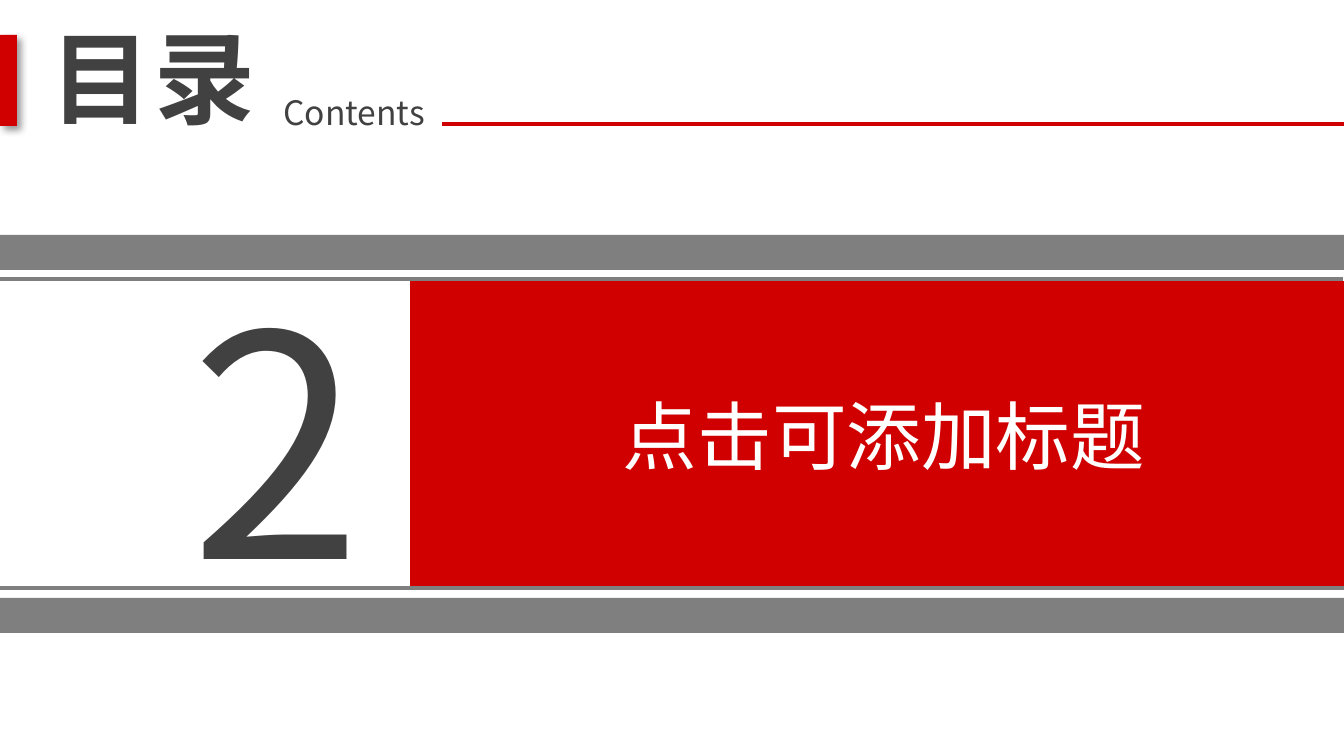
from dataclasses import dataclass

from lxml.etree import SubElement
from pptx import Presentation
from pptx.dml.color import RGBColor
from pptx.enum.shapes import MSO_CONNECTOR, MSO_SHAPE
from pptx.enum.text import MSO_AUTO_SIZE, PP_ALIGN
from pptx.oxml.ns import qn
from pptx.util import Emu, Pt

EMU_PER_PX = 914400 / 134.4
FONT = "Noto Sans CJK SC"
COLORS = {
    "red": "D00000",
    "gray": "7F7F7F",
    "ink": "414141",
    "white": "FFFFFF",
    "black": "000000",
}


@dataclass(frozen=True)
class Block:
    x: int
    y: int
    w: int
    h: int
    color: str
    shadow: bool = False


@dataclass(frozen=True)
class Rule:
    x1: int
    x2: int
    y: int
    color: str


BANDS_AND_PANEL = [
    Block(0, 598, 1344, 35, "gray"),
    Block(-1, 235, 1345, 35, "gray"),
    Block(410, 281, 934, 308, "red"),
]
TITLE_MARK = Block(0, 35, 17, 91, "red", shadow=True)
PANEL_RULES = [Rule(1343, -1, 279, "gray"), Rule(1344, 0, 588, "gray")]
TITLE_RULE = Rule(1344, 442, 124, "red")


def px(n: int) -> Emu:
    return Emu(round(n * EMU_PER_PX))


def rgb(name: str) -> RGBColor:
    return RGBColor.from_string(COLORS[name])


def add_block(slide, block: Block) -> None:
    s = slide.shapes.add_shape(
        MSO_SHAPE.RECTANGLE, px(block.x), px(block.y), px(block.w), px(block.h)
    )
    s.fill.solid()
    s.fill.fore_color.rgb = rgb(block.color)
    s.line.fill.background()
    s.shadow.inherit = False
    if block.shadow:
        effects = s._element.spPr.find(qn("a:effectLst"))
        outer = SubElement(
            effects, qn("a:outerShdw"), blurRad=str(Pt(4)), dist=str(Pt(3)),
            dir="2700000", algn="tl", rotWithShape="0",
        )
        color = SubElement(outer, qn("a:srgbClr"), val=COLORS["black"])
        SubElement(color, qn("a:alpha"), val="40000")


def add_rule(slide, rule: Rule) -> None:
    s = slide.shapes.add_connector(
        MSO_CONNECTOR.STRAIGHT, px(rule.x1), px(rule.y), px(rule.x2), px(rule.y)
    )
    s.line.color.rgb = rgb(rule.color)
    s.line.width = Pt(2.25)
    SubElement(s._element.spPr, qn("a:effectLst"))


def add_text(slide, text: str, *, x: int, y: int, w: int, h: int, size: int,
             color: str = "ink", bold: bool = False, wrap: bool = True,
             spacing: float = 0) -> None:
    s = slide.shapes.add_textbox(px(x), px(y), px(w), px(h))
    tf = s.text_frame
    tf.word_wrap = wrap
    tf.auto_size = MSO_AUTO_SIZE.SHAPE_TO_FIT_TEXT
    p = tf.paragraphs[0]
    p.alignment = PP_ALIGN.CENTER
    r = p.add_run()
    r.text = text
    r.font.size = Pt(size)
    r.font.bold = bold
    r.font.color.rgb = rgb(color)
    r.font.name = FONT
    rPr = r._r.get_or_add_rPr()
    SubElement(rPr, qn("a:ea"), typeface=FONT)
    if spacing:
        rPr.set("spc", str(round(spacing * 100)))


def main() -> None:
    prs = Presentation()
    prs.slide_width, prs.slide_height = px(1344), px(756)
    slide = prs.slides.add_slide(prs.slide_layouts[6])

    for block in BANDS_AND_PANEL:
        add_block(slide, block)
    add_text(slide, "点击可添加标题", x=559, y=383, w=650, h=103, size=40, color="white")
    for rule in PANEL_RULES:
        add_rule(slide, rule)

    add_text(slide, "目录", x=34, y=9, w=238, h=136, size=54, bold=True,
             wrap=False, spacing=1.7)
    add_block(slide, TITLE_MARK)
    add_text(slide, "Contents", x=169, y=85, w=370, h=54, size=18)
    add_rule(slide, TITLE_RULE)
    add_text(slide, "2", x=177, y=243, w=55, h=388, size=166)

    prs.save("out.pptx")


if __name__ == "__main__":
    main()
